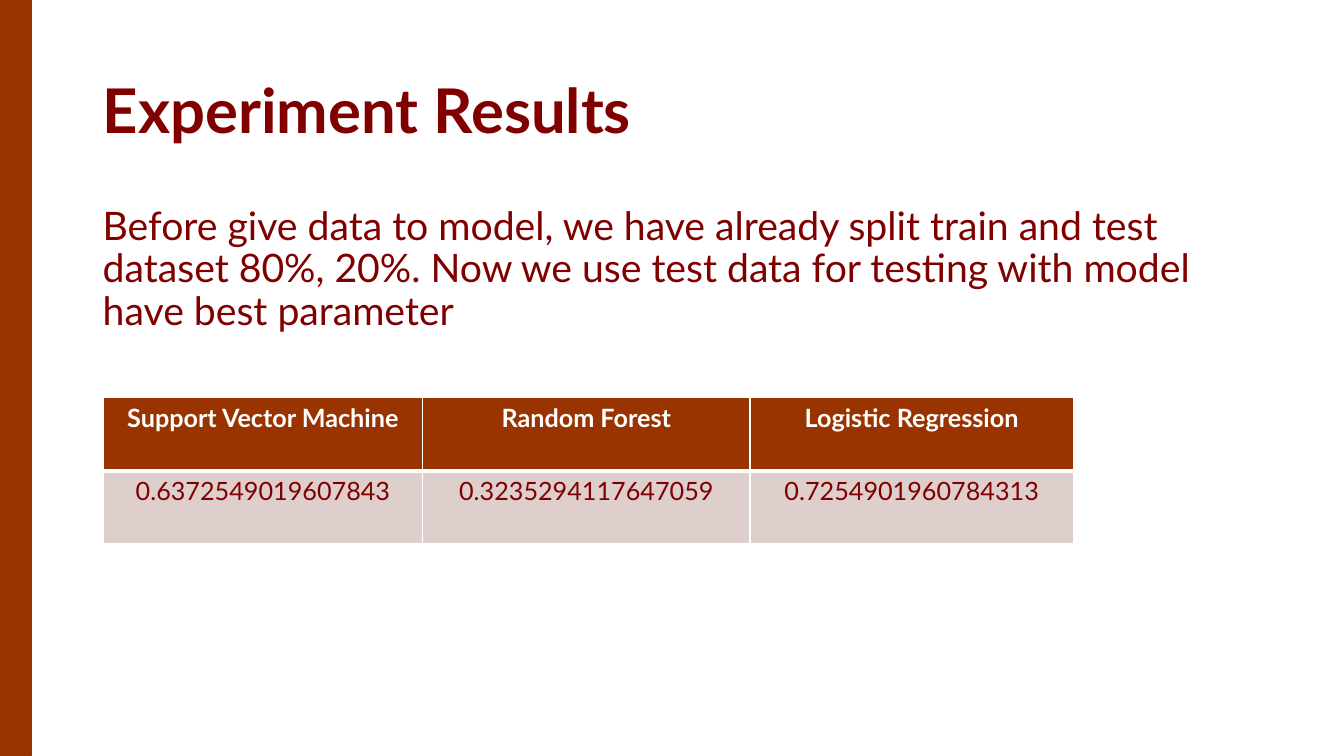
from lxml import etree
from pptx import Presentation
from pptx import util as u
from pptx.dml import color
from pptx.enum import shapes, text
from pptx.oxml import ns

RUST = "993300"
MAROON = "800000"
WHITE = "FFFFFF"
ROSE = "DECECC"
FONT = "Lato"

RESULTS = [
    ["Support Vector Machine", "Random Forest", "Logistic Regression"],
    ["0.6372549019607843", "0.3235294117647059", "0.7254901960784313"],
]
COLUMN_WIDTHS = [8.05, 8.25, 8.15]


def rgb(value):
    return color.RGBColor.from_string(value)


def place(shape, box):
    shape.left, shape.top, shape.width, shape.height = map(u.Cm, box)


def write(frame, words, size, hue, bold=False, align=text.PP_ALIGN.LEFT):
    frame.word_wrap = True
    para = frame.paragraphs[0]
    para.text = words
    para.alignment = align
    font = para.font
    font.name, font.size, font.bold = FONT, u.Pt(size), bold
    font.color.rgb = rgb(hue)
    return para


def add_side_bar(page, box):
    bar = page.shapes.add_shape(shapes.MSO_SHAPE.RECTANGLE, *map(u.Cm, box))
    bar.shadow.inherit = False
    bar.fill.solid()
    bar.fill.fore_color.rgb = rgb(RUST)
    bar.line.color.rgb = rgb(RUST)
    bar.line.width = u.Pt(2.25)


def add_title(page, box):
    title = page.shapes.title
    place(title, box)
    title.text_frame.vertical_anchor = text.MSO_ANCHOR.MIDDLE
    para = write(title.text_frame, "Experiment Results", 44, MAROON, bold=True)
    para.line_spacing = 0.9


def add_body(page, box):
    body = page.shapes.add_textbox(*map(u.Cm, box))
    para = write(
        body.text_frame,
        "Before give data to model, we have already split train and test "
        "dataset 80%, 20%. Now we use test data for testing with model "
        "have best parameter",
        28,
        MAROON,
    )
    para.line_spacing = 0.9
    para.space_before = u.Pt(10)


def add_borders(cell, widths):
    properties = cell._tc.get_or_add_tcPr()
    for side, width in widths.items():
        line = etree.SubElement(properties, ns.qn(f"a:ln{side}"), w=str(u.Pt(width)))
        fill = etree.SubElement(line, ns.qn("a:solidFill"))
        etree.SubElement(fill, ns.qn("a:srgbClr"), val=WHITE)


def add_results(page, box):
    frame = page.shapes.add_table(len(RESULTS), len(COLUMN_WIDTHS), *map(u.Cm, box))
    table = frame.table
    for column, width in zip(table.columns, COLUMN_WIDTHS):
        column.width = u.Cm(width)
    for row, words in enumerate(RESULTS):
        header = row == 0
        for column, value in enumerate(words):
            cell = table.cell(row, column)
            top, bottom = (1, 3) if header else (3, 1)
            add_borders(cell, {"L": 1, "R": 1, "T": top, "B": bottom})
            cell.fill.solid()
            cell.fill.fore_color.rgb = rgb(RUST if header else ROSE)
            hue = WHITE if header else MAROON
            write(cell.text_frame, value, 18, hue, header, text.PP_ALIGN.CENTER)


def main():
    deck = Presentation()
    deck.slide_width, deck.slide_height = u.Cm(33.87), u.Cm(19.05)
    page = deck.slides.add_slide(deck.slide_layouts[5])
    add_side_bar(page, (0, 0, 0.76, 19.05))
    add_title(page, (2.34, 1.02, 29.21, 3.68))
    add_body(page, (2.34, 5.08, 29.21, 3.96))
    add_results(page, (2.6, 10.01, sum(COLUMN_WIDTHS), 3.7))
    deck.save("out.pptx")


if __name__ == "__main__":
    main()
